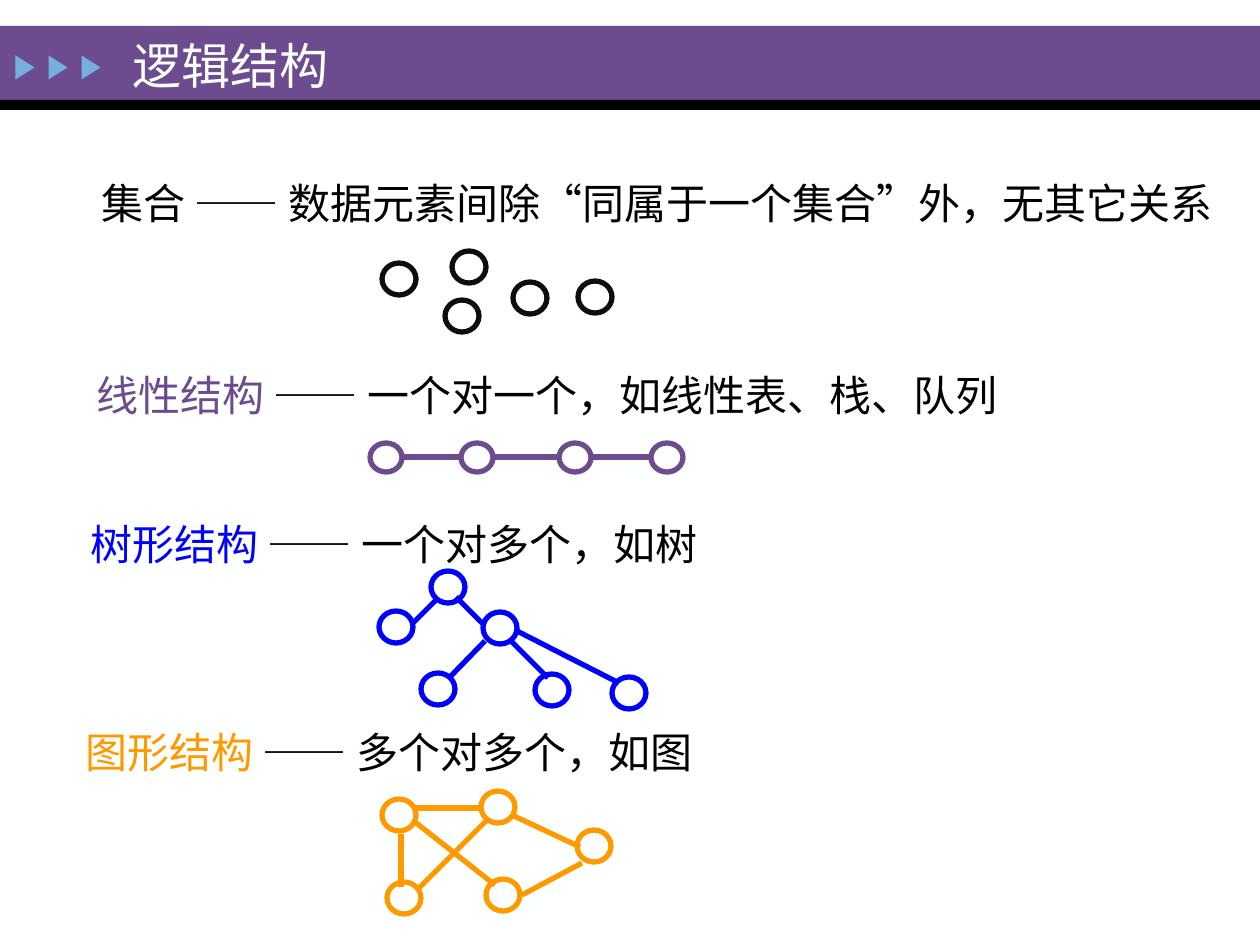
from pptx import Presentation
from pptx.dml.color import RGBColor
from pptx.enum.lang import MSO_LANGUAGE_ID
from pptx.enum.shapes import MSO_CONNECTOR, MSO_SHAPE
from pptx.enum.text import MSO_ANCHOR, MSO_AUTO_SIZE, PP_ALIGN
from pptx.oxml.ns import qn
from pptx.util import Pt
from lxml import etree

RECTANGLE = MSO_SHAPE.RECTANGLE
TRIANGLE = MSO_SHAPE.ISOSCELES_TRIANGLE
OVAL = MSO_SHAPE.OVAL
STRAIGHT = MSO_CONNECTOR.STRAIGHT
CHINESE = MSO_LANGUAGE_ID.SIMPLIFIED_CHINESE

EMU_PER_PX = 914400 / 126
FONT = "Times New Roman"
PURPLE, BLACK, BLUE, ORANGE = "6C4C8F", "000000", "0000FF", "FF9900"
SKY, OFF_WHITE, NEAR_BLACK = "76AEDD", "FEFFFF", "0D0D0D"

TITLE = "逻辑结构"
TITLE_BOX = (120, 26, 324, 78)
BARS = [((0, 26, 1260, 75), PURPLE), ((0, 100, 1260, 10), BLACK)]
ARROW_LEFT, ARROW_PITCH, ARROW_COUNT = 13, 33, 3

# Nodes are (left, top); links are (x1, y1, x2, y2).
STRUCTURES = [
    {
        "name": "集合 ", "meaning": "—— 数据元素间除“同属于一个集合”外，无其它关系",
        "name_color": BLACK, "box": (89, 171, 1149, 64),
        "color": NEAR_BLACK, "node_size": (34, 32),
        "nodes": [(382, 263), (452, 251), (445, 300), (513, 282), (578, 281)],
        "links": [],
    },
    {
        "name": "线性结构 ", "meaning": "—— 一个对一个，如线性表、栈、队列",
        "name_color": PURPLE, "box": (84, 363, 937, 64),
        "color": PURPLE, "node_size": (32, 29),
        "nodes": [(left, 443) for left in (370, 461, 559, 651)],
        "links": [(402, 457, 460, 457), (491, 457, 559, 457), (593, 457, 650, 457)],
    },
    {
        "name": "树形结构 ", "meaning": "—— 一个对多个，如树",
        "name_color": BLUE, "box": (78, 512, 640, 64),
        "color": BLUE, "node_size": (34, 32),
        "nodes": [(431, 571), (379, 611), (483, 612), (421, 673), (535, 674), (612, 677)],
        "links": [(436, 600, 412, 624), (485, 641, 449, 678), (456, 597, 483, 624),
                  (509, 639, 548, 678), (517, 631, 619, 683)],
    },
    {
        "name": "图形结构 ", "meaning": "—— 多个对多个，如图",
        "name_color": ORANGE, "box": (73, 720, 640, 64),
        "color": ORANGE, "node_size": (34, 32),
        "nodes": [(481, 791), (387, 882), (486, 879), (577, 830), (382, 799)],
        "links": [(401, 834, 401, 887), (415, 822, 495, 885), (514, 816, 580, 847),
                  (488, 819, 417, 890), (582, 863, 522, 895), (415, 808, 480, 808)],
    },
]


def px(*lengths):
    return [round(length * EMU_PER_PX) for length in lengths]


def rgb(color):
    return RGBColor.from_string(color)


def add_run(paragraph, text, size, color):
    run = paragraph.add_run()
    run.text = text
    run.font.name = FONT
    run.font.size = Pt(size)
    run.font.color.rgb = rgb(color)
    run.font.language_id = CHINESE


def add_filled(slide, preset, box, color):
    shape = slide.shapes.add_shape(preset, *px(*box))
    shape.shadow.inherit = False
    shape.fill.solid()
    shape.fill.fore_color.rgb = rgb(color)
    shape.line.fill.background()
    return shape


def add_node(slide, box, color):
    node = slide.shapes.add_shape(OVAL, *px(*box))
    node.shadow.inherit = False
    node.fill.background()
    node.line.color.rgb = rgb(color)
    node.line.width = Pt(3)


def add_link(slide, ends, color):
    link = slide.shapes.add_connector(STRAIGHT, *px(*ends))
    link.line.color.rgb = rgb(color)
    link.line.width = Pt(3)
    etree.SubElement(link.element.spPr, qn("a:effectLst"))


def add_header(slide):
    for box, color in BARS:
        add_filled(slide, RECTANGLE, box, color)
    for index in range(ARROW_COUNT):
        left = ARROW_LEFT + index * ARROW_PITCH
        arrow = add_filled(slide, TRIANGLE, (left, 58, 24, 19), SKY)
        arrow.rotation = 90

    title = slide.shapes.title
    title.left, title.top, title.width, title.height = px(*TITLE_BOX)
    arrow.element.addnext(title.element)  # bring the title in front of the bars
    frame = title.text_frame
    frame.auto_size = MSO_AUTO_SIZE.NONE
    frame.vertical_anchor = MSO_ANCHOR.MIDDLE
    paragraph = frame.paragraphs[0]
    paragraph.alignment = PP_ALIGN.LEFT
    add_run(paragraph, TITLE, 28, OFF_WHITE)


def add_structure(slide, structure):
    frame = slide.shapes.add_textbox(*px(*structure["box"])).text_frame
    frame.word_wrap = False
    frame.auto_size = MSO_AUTO_SIZE.SHAPE_TO_FIT_TEXT
    paragraph = frame.paragraphs[0]
    add_run(paragraph, structure["name"], 24, structure["name_color"])
    add_run(paragraph, structure["meaning"], 24, BLACK)

    for position in structure["nodes"]:
        add_node(slide, position + structure["node_size"], structure["color"])
    for ends in structure["links"]:
        add_link(slide, ends, structure["color"])


def main():
    presentation = Presentation()
    presentation.slide_width, presentation.slide_height = px(1260, 945)
    slide = presentation.slides.add_slide(presentation.slide_layouts[5])
    slide.background.fill.solid()
    slide.background.fill.fore_color.rgb = rgb(OFF_WHITE)
    add_header(slide)
    for structure in STRUCTURES:
        add_structure(slide, structure)
    presentation.save("out.pptx")


if __name__ == "__main__":
    main()
